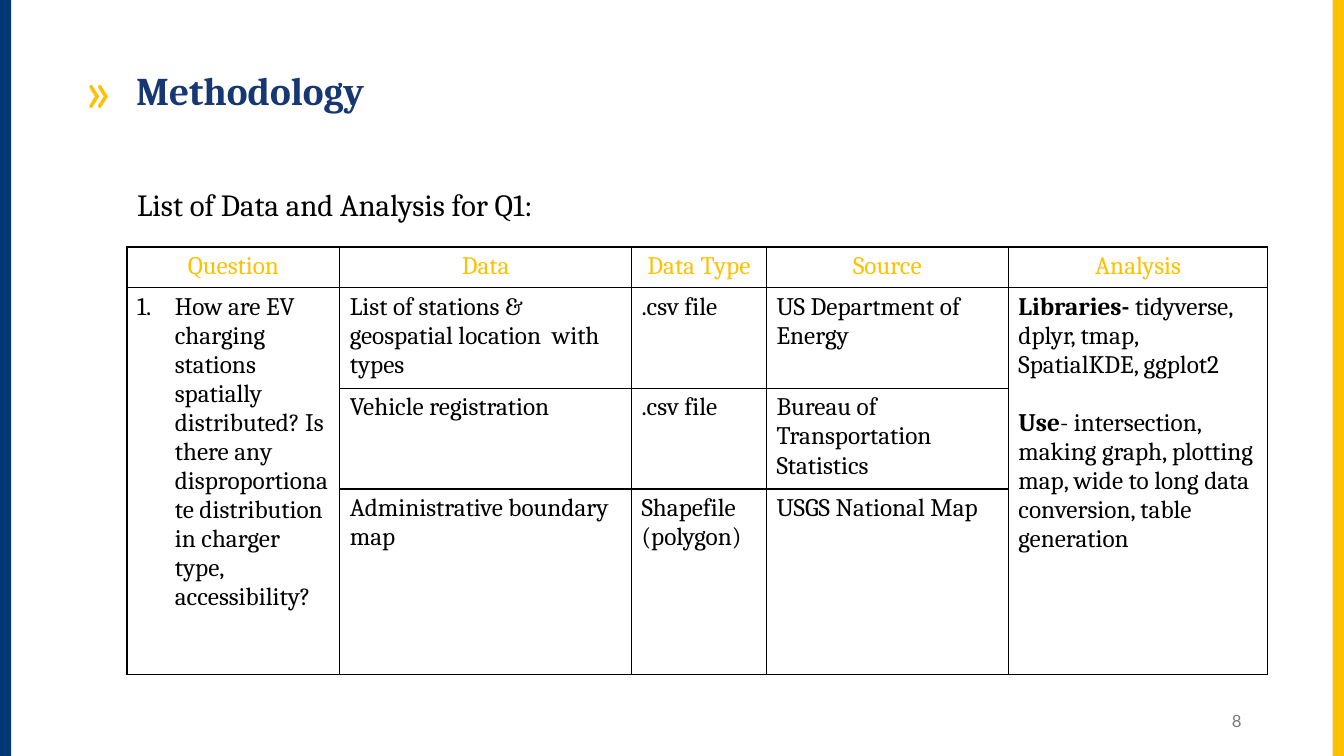
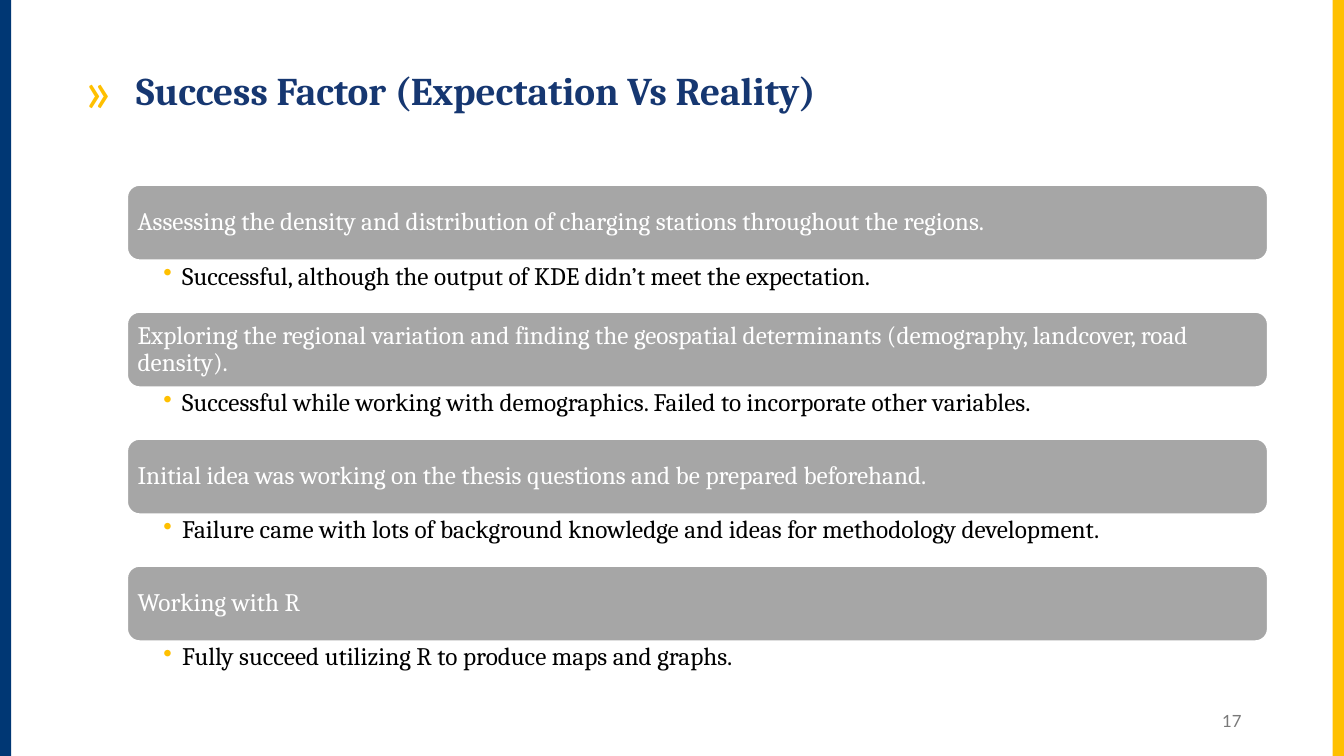
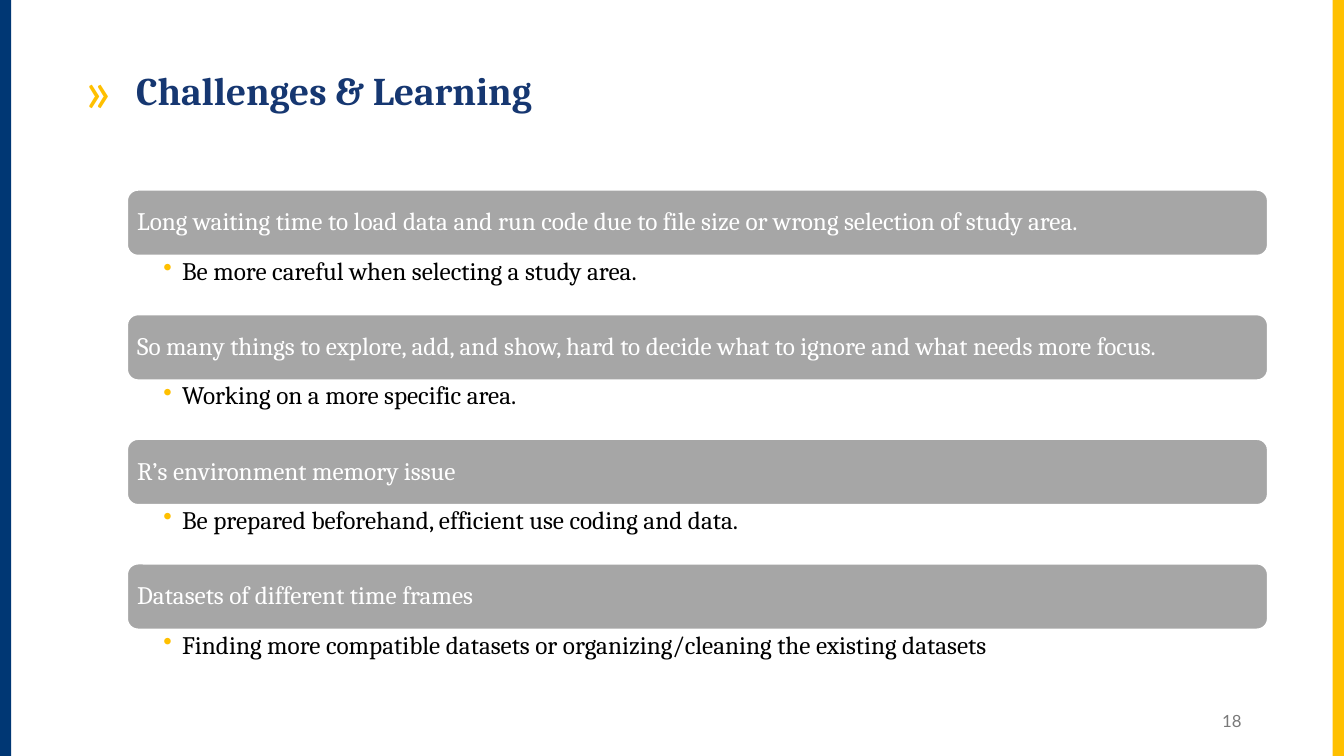
from lxml import etree
from pptx import Presentation
from pptx.dml.color import RGBColor
from pptx.enum.shapes import MSO_SHAPE
from pptx.enum.text import MSO_ANCHOR, MSO_AUTO_SIZE, PP_ALIGN
from pptx.oxml.ns import qn
from pptx.util import Pt

RECTANGLE = MSO_SHAPE.RECTANGLE
ROUNDED = MSO_SHAPE.ROUNDED_RECTANGLE
LEFT, CENTER, RIGHT = PP_ALIGN.LEFT, PP_ALIGN.CENTER, PP_ALIGN.RIGHT
TOP, MIDDLE = MSO_ANCHOR.TOP, MSO_ANCHOR.MIDDLE
GROW, FIXED = MSO_AUTO_SIZE.SHAPE_TO_FIT_TEXT, MSO_AUTO_SIZE.NONE

NAVY = RGBColor(0x00, 0x37, 0x74)
TITLE_BLUE = RGBColor(0x16, 0x37, 0x71)
GOLD = RGBColor(0xFF, 0xC0, 0x00)
GRAY = RGBColor(0xA6, 0xA6, 0xA6)
PAGE_GRAY = RGBColor(0x79, 0x79, 0x79)
WHITE = RGBColor(0xFF, 0xFF, 0xFF)
BLACK = RGBColor(0x00, 0x00, 0x00)

SERIF, SANS = "Cambria", "Lato"
WIDTH, HEIGHT = 960, 540
BAND_WIDTH = 8
CONTENT_LEFT, CONTENT_WIDTH = 90.72, 815
TITLE_LAYOUT, BODY_LAYOUT = 5, 1

COLUMN_WIDTHS = [152, 208.4, 96.4, 172.8, 185.4]
ROW_HEIGHTS = [28, 69.6, 69.6, 132.8]
HEADERS = ["Question", "Data", "Data Type", "Source", "Analysis"]
DATA_ROWS = [
    ["List of stations & geospatial location  with types", ".csv file", "US Department of Energy"],
    ["Vehicle registration", ".csv file", "Bureau of Transportation Statistics"],
    ["Administrative boundary map", "Shapefile (polygon)", "USGS National Map"],
]
QUESTION = (
    "How are EV charging stations spatially distributed? "
    "Is there any disproportionate distribution in charger type, accessibility?"
)
ANALYSIS = [
    [("Libraries- ", True), ("tidyverse, dplyr, tmap, SpatialKDE, ggplot2", False)],
    [
        ("Use", True),
        ("- intersection, making graph, plotting map, wide to long data conversion, table generation", False),
    ],
]
SUCCESS_FACTORS = [
    (
        "Assessing the density and distribution of charging stations throughout the regions.",
        "Successful, although the output of KDE didn’t meet the expectation.",
    ),
    (
        "Exploring the regional variation and finding the geospatial determinants "
        "(demography, landcover, road density).",
        "Successful while working with demographics. Failed to incorporate other variables.",
    ),
    (
        "Initial idea was working on the thesis questions and be prepared beforehand.",
        "Failure came with lots of background knowledge and ideas for methodology development.",
    ),
    ("Working with R", "Fully succeed utilizing R to produce maps and graphs."),
]
CHALLENGES = [
    (
        "Long waiting time to load data and run code due to file size or wrong selection of study area.",
        "Be more careful when selecting a study area.",
    ),
    (
        "So many things to explore, add, and show, hard to decide what to ignore and what needs more focus.",
        "Working on a more specific area.",
    ),
    ("R’s environment memory issue", "Be prepared beforehand, efficient use coding and data."),
    (
        "Datasets of different time frames",
        "Finding more compatible datasets or organizing/cleaning the existing datasets",
    ),
]


def set_bullet(para, bullet, indent, color, percent, font):
    """Give a paragraph a bullet character, a number, or none."""
    props = para._p.get_or_add_pPr()
    props.set("marL", str(Pt(indent)))
    props.set("indent", str(-Pt(indent)))
    if color is not None:
        holder = etree.SubElement(props, qn("a:buClr"))
        etree.SubElement(holder, qn("a:srgbClr"), val=str(color))
    if percent:
        etree.SubElement(props, qn("a:buSzPct"), val=str(percent * 1000))
    if font:
        etree.SubElement(props, qn("a:buFont"), typeface=font)
    if bullet == "1.":
        etree.SubElement(props, qn("a:buFont"), typeface="+mj-lt")
        etree.SubElement(props, qn("a:buAutoNum"), type="arabicPeriod")
    elif bullet:
        etree.SubElement(props, qn("a:buChar"), char=bullet)
    else:
        etree.SubElement(props, qn("a:buNone"))


def write(frame, text, *, size=18, color=BLACK, font=SERIF, bold=False, align=LEFT,
          spacing=None, gap=0, bullet=None, indent=0, bullet_color=None,
          bullet_percent=None, bullet_font=None):
    """Write a string, or a list of paragraphs made of (text, bold) spans."""
    paragraphs = [[(text, bold)]] if isinstance(text, str) else text
    for index, spans in enumerate(paragraphs):
        para = frame.add_paragraph() if index else frame.paragraphs[0]
        set_bullet(para, bullet, indent, bullet_color, bullet_percent, bullet_font)
        para.alignment = align
        para.space_before = Pt(gap if index else 0)
        if spacing:
            para.line_spacing = spacing
        for words, strong in spans:
            span = para.add_run()
            span.text = words
            span.font.name = font
            span.font.size = Pt(size)
            span.font.bold = strong
            span.font.color.rgb = color


def set_frame(box, anchor=TOP, insets=(7.2, 3.6, 7.2, 3.6), fit=FIXED):
    """Set wrapping, anchor, insets and fit, and return the text frame."""
    frame = box.text_frame
    frame.word_wrap = True
    frame.auto_size = fit
    frame.vertical_anchor = anchor
    frame.margin_left, frame.margin_top, frame.margin_right, frame.margin_bottom = map(Pt, insets)
    return frame


def place(box, left, top, width, height):
    """Move and size a placeholder."""
    box.left, box.top, box.width, box.height = map(Pt, (left, top, width, height))


def add_box(page, kind, left, top, width, height, fill, line=None):
    """Add a flat filled shape."""
    box = page.shapes.add_shape(kind, *map(Pt, (left, top, width, height)))
    box.shadow.inherit = False
    box.fill.solid()
    box.fill.fore_color.rgb = fill
    if line is None:
        box.line.fill.background()
    else:
        box.line.color.rgb = line
        box.line.width = Pt(1.5)
    return box


def add_page(deck, layout, title, number):
    """Add a slide with side bands, title and page number."""
    page = deck.slides.add_slide(deck.slide_layouts[layout])
    for left, color in ((0, NAVY), (WIDTH - BAND_WIDTH, GOLD)):
        add_box(page, RECTANGLE, left, 0, BAND_WIDTH, HEIGHT, color)
    place(page.shapes.title, 54, 44, 875, 41)
    write(set_frame(page.shapes.title, MIDDLE, fit=GROW), title, size=28, color=TITLE_BLUE,
          bold=True, bullet="»", indent=36, bullet_color=GOLD, bullet_percent=150,
          bullet_font=SANS)
    number_box = page.shapes.add_textbox(*map(Pt, (678, 500.4, 216, 28.8)))
    write(set_frame(number_box, MIDDLE), number, size=12, color=PAGE_GRAY, font=SANS, align=RIGHT)
    return page


def set_borders(cell):
    """Draw a thin black line on all four sides of a cell."""
    props = cell._tc.get_or_add_tcPr()
    for index, side in enumerate(("lnL", "lnR", "lnT", "lnB")):
        line = etree.Element(qn(f"a:{side}"), w=str(Pt(1)))
        fill = etree.SubElement(line, qn("a:solidFill"))
        etree.SubElement(fill, qn("a:srgbClr"), val=str(BLACK))
        props.insert(index, line)


def add_data_table(page, left, top):
    """Add the table of data, sources and analysis."""
    graphic = page.shapes.add_table(
        len(ROW_HEIGHTS), len(COLUMN_WIDTHS), Pt(left), Pt(top),
        Pt(sum(COLUMN_WIDTHS)), Pt(sum(ROW_HEIGHTS)))
    table = graphic.table
    table.horz_banding = False
    for column, width in zip(table.columns, COLUMN_WIDTHS):
        column.width = Pt(width)
    for row, height in zip(table.rows, ROW_HEIGHTS):
        row.height = Pt(height)
        for cell in row.cells:
            cell.fill.background()
            set_borders(cell)
    last_row, last_column = len(ROW_HEIGHTS) - 1, len(COLUMN_WIDTHS) - 1
    for column in (0, last_column):
        table.cell(1, column).merge(table.cell(last_row, column))
    for column, header in enumerate(HEADERS):
        write(table.cell(0, column).text_frame, header, color=GOLD, align=CENTER)
    for row, values in enumerate(DATA_ROWS, 1):
        for column, value in enumerate(values, 1):
            write(table.cell(row, column).text_frame, value)
    write(table.cell(1, 0).text_frame, QUESTION, bullet="1.", indent=27)
    write(table.cell(1, last_column).text_frame, ANALYSIS, gap=20.8)


def add_cards(page, pairs, top, card_height, answer_height):
    """Stack gray cards, each with a bulleted answer below."""
    for index, (heading, answer) in enumerate(pairs):
        card_top = top + index * (card_height + answer_height)
        card = add_box(page, ROUNDED, CONTENT_LEFT, card_top, CONTENT_WIDTH, card_height,
                       GRAY, WHITE)
        write(set_frame(card, MIDDLE, (5, 5, 5, 5)), heading, color=WHITE, spacing=0.9)
        answer_box = page.shapes.add_textbox(
            *map(Pt, (CONTENT_LEFT, card_top + card_height, CONTENT_WIDTH, answer_height)))
        write(set_frame(answer_box, insets=(25.9, 2, 10, 2)), answer, spacing=0.9,
              bullet="•", indent=13.5, bullet_color=GOLD)


def add_methodology(deck):
    """Add the slide with the data table."""
    page = add_page(deck, BODY_LAYOUT, "Methodology", "8")
    body = page.placeholders[1]
    place(body, CONTENT_LEFT, 130.3, 818.6, 32.4)
    write(set_frame(body, fit=GROW), "List of Data and Analysis for Q1:", size=22, spacing=Pt(25))
    add_data_table(page, CONTENT_LEFT, 176.4)


def main():
    """Build and save the deck."""
    deck = Presentation()
    deck.slide_width, deck.slide_height = Pt(WIDTH), Pt(HEIGHT)
    add_methodology(deck)
    success = add_page(deck, TITLE_LAYOUT, "Success Factor (Expectation Vs Reality)", "17")
    add_cards(success, SUCCESS_FACTORS, 132, 54, 36.7)
    challenges = add_page(deck, TITLE_LAYOUT, "Challenges & Learning", "18")
    add_cards(challenges, CHALLENGES, 135.5, 47.2, 41.8)
    deck.save("out.pptx")


if __name__ == "__main__":
    main()
